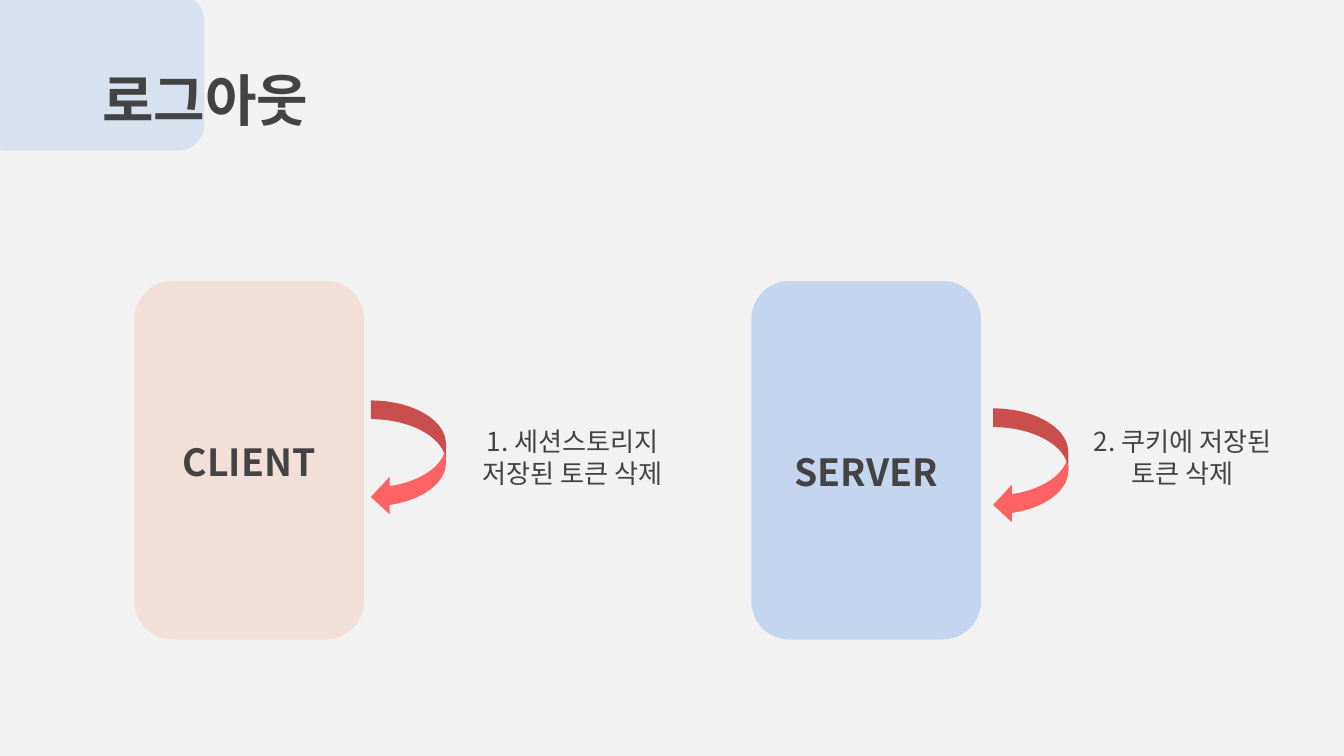
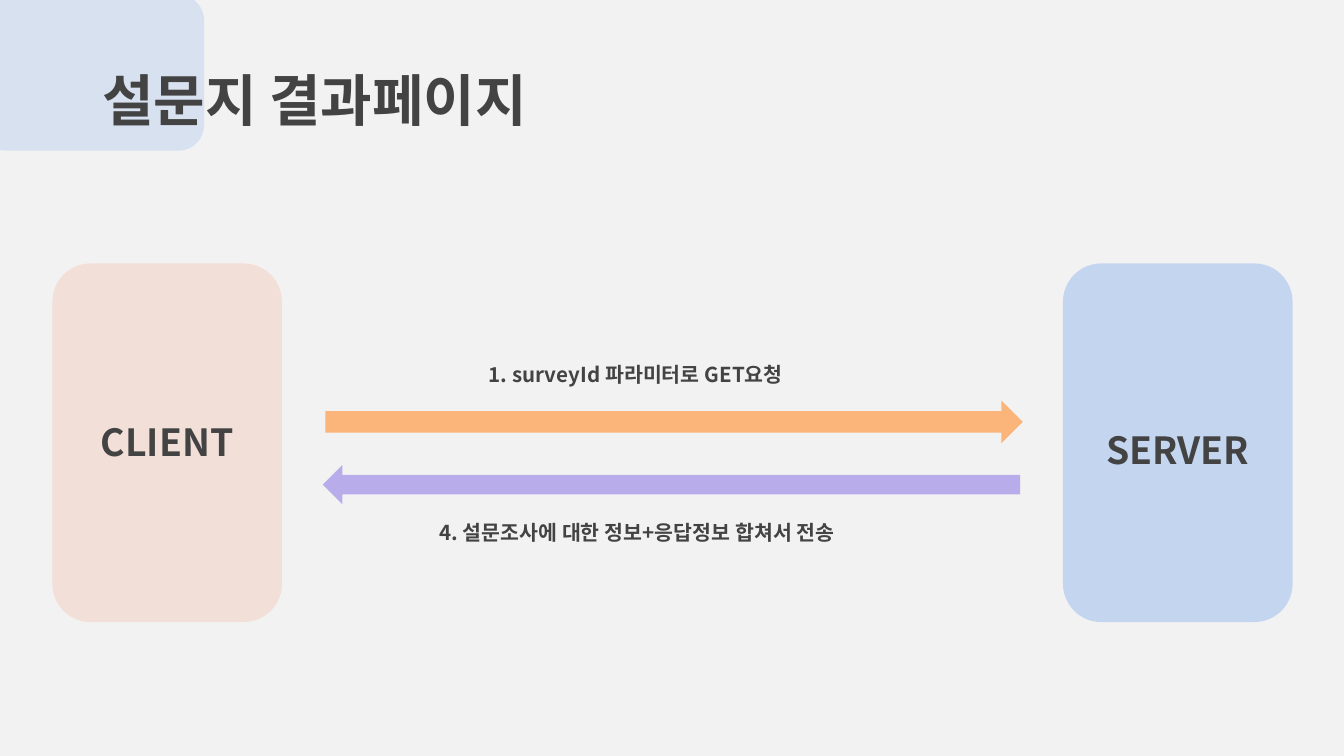
import pptx
import pptx.dml.color
import pptx.enum.shapes
import pptx.enum.text
import pptx.oxml.ns
import pptx.util
from lxml import etree

Cm = pptx.util.Cm
Shape = pptx.enum.shapes.MSO_SHAPE
Align = pptx.enum.text.PP_ALIGN
Anchor = pptx.enum.text.MSO_ANCHOR

FONT = "Noto Sans CJK KR"
COLORS = {
    "page": "F2F2F2",
    "text": "434343",
    "corner": "8CB1EE",
    "client": "F2D9CF",
    "server": "B5CBF0",
    "loop": "FE6262",
    "request": "FBB479",
    "response": "B9ACEA",
}
CARD_WIDTH, CARD_HEIGHT = 4.34, 6.78
ARROW_WIDTH = 13.18


class FlowDeck:
    def __init__(self):
        self.deck = pptx.Presentation()
        self.deck.slide_width = Cm(25.4)
        self.deck.slide_height = Cm(14.29)
        self.page = None

    def paint(self, fill, color, opacity=100):
        fill.solid()
        fill.fore_color.rgb = pptx.dml.color.RGBColor.from_string(COLORS[color])
        if opacity < 100:
            tint = fill._xPr.find(".//" + pptx.oxml.ns.qn("a:srgbClr"))
            alpha = etree.SubElement(tint, pptx.oxml.ns.qn("a:alpha"))
            alpha.set("val", str(opacity * 1000))

    def shape(self, kind, left, top, width, height, color, opacity=100):
        shape = self.page.shapes.add_shape(
            kind, Cm(left), Cm(top), Cm(width), Cm(height))
        shape.shadow.inherit = False
        shape.line.fill.background()
        self.paint(shape.fill, color, opacity)
        return shape

    def text(self, words, left, top, width, height, size, bold=True,
             align=Align.LEFT, anchor=Anchor.TOP, inset=0.25):
        """Add a text box; inset is its top and bottom margin."""
        box = self.page.shapes.add_textbox(
            Cm(left), Cm(top), Cm(width), Cm(height))
        frame = box.text_frame
        frame.word_wrap = True
        frame.vertical_anchor = anchor
        frame.margin_left = frame.margin_right = Cm(0.25)
        frame.margin_top = frame.margin_bottom = Cm(inset)
        para = frame.paragraphs[0]
        para.text = words
        para.alignment = align
        para.font.name = FONT
        para.font.size = pptx.util.Pt(size)
        para.font.bold = bold
        para.font.color.rgb = pptx.dml.color.RGBColor.from_string(COLORS["text"])

    def new_page(self, title):
        self.page = self.deck.slides.add_slide(self.deck.slide_layouts[6])
        self.paint(self.page.background.fill, "page")
        self.shape(Shape.ROUNDED_RECTANGLE, -0.36, -0.1, 4.22, 2.95, "corner", 25)
        self.text(title, 1.68, 0.99, 9.42, 2.08, 30)

    def card(self, name, left, top, label_top):
        self.shape(Shape.ROUNDED_RECTANGLE, left, top, CARD_WIDTH, CARD_HEIGHT,
                   name.lower(), 74)
        self.text(name, left, label_top, CARD_WIDTH, 1.6, 20,
                  align=Align.CENTER, anchor=Anchor.BOTTOM)

    def loop(self, left, top):
        self.shape(Shape.CURVED_LEFT_ARROW, left, top, 1.42, 2.18, "loop")

    def note(self, words, left):
        self.text(words, left, 7.8, CARD_WIDTH, 1.09, 14, bold=False,
                  align=Align.CENTER)

    def arrow(self, left, top, height, color):
        return self.shape(Shape.RIGHT_ARROW, left, top, ARROW_WIDTH, height, color)


def add_logout(flow):
    flow.new_page("로그아웃")
    flow.card("CLIENT", 2.54, 5.31, 7.8)
    flow.card("SERVER", 14.2, 5.31, 7.98)
    flow.loop(7.01, 7.57)
    flow.loop(18.77, 7.72)
    flow.note("1. 세션스토리지 저장된 토큰 삭제", 8.66)
    flow.note("2. 쿠키에 저장된 토큰 삭제", 20.19)


def add_survey_result(flow):
    flow.new_page("설문지 결과페이지")
    flow.card("CLIENT", 0.99, 4.98, 7.42)
    flow.card("SERVER", 20.09, 4.98, 7.57)
    flow.arrow(6.15, 7.57, 0.81, "request")
    flow.text("1. surveyId 파라미터로 GET요청", 8.99, 6.6, 6.96, 0.81, 11)
    flow.arrow(6.1, 8.79, 0.74, "response").rotation = 180
    flow.text("4. 설문조사에 대한 정보+응답정보 합쳐서 전송",
              8.05, 9.7, 9.22, 0.74, 11, inset=0.13)


def main():
    flow = FlowDeck()
    add_logout(flow)
    add_survey_result(flow)
    flow.deck.save("out.pptx")


if __name__ == "__main__":
    main()
